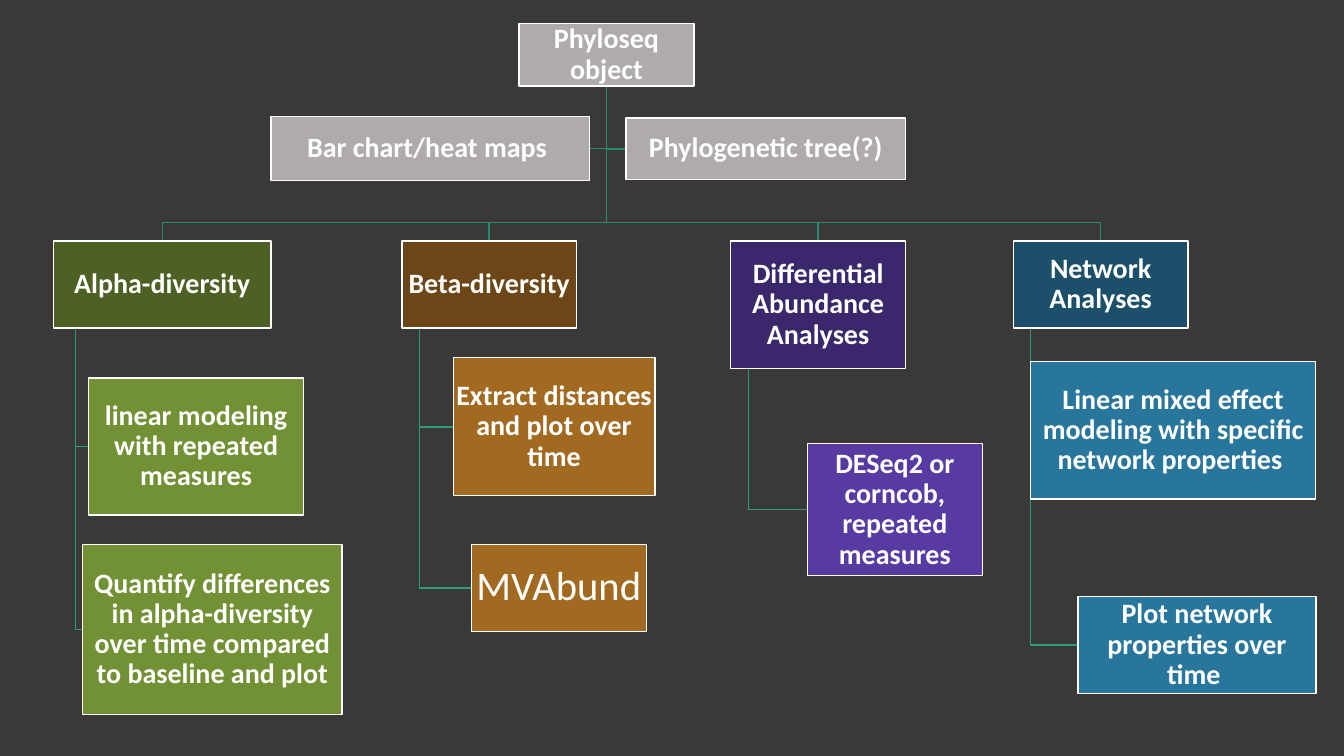
from dataclasses import dataclass, field

from pptx import Presentation
from pptx import util as u
from pptx.dml.color import RGBColor
from pptx.enum import shapes, text
from pptx.oxml.ns import qn
from lxml import etree

WHITE = "FFFFFF"
GREY = "AFABAB"
MAIN_LINE = "218C70"
SUB_LINE = "259F7F"
BUS_Y = 159.1


@dataclass
class Box:
    label: str
    left: float
    top: float
    width: float
    height: float
    fill: str
    size: float = 20
    bold: bool = True

    @property
    def right(self) -> float:
        return self.left + self.width

    @property
    def bottom(self) -> float:
        return self.top + self.height

    @property
    def center(self) -> float:
        return self.left + self.width / 2

    @property
    def middle(self) -> float:
        return self.top + self.height / 2

    @property
    def stem(self) -> float:
        """The x of the line that hangs below a branch head."""
        return self.left + self.width / 10


@dataclass
class Branch:
    head: Box
    leaves: list[Box] = field(default_factory=list)


ROOT = Box("Phyloseq object", 370.8, 16.8, 124.8, 44.8, GREY)
CHARTS = Box("Bar chart/heat maps ", 193.6, 83, 227.4, 46, GREY)
TREE = Box("Phylogenetic tree(?)", 447.1, 84.2, 199.6, 44.2, GREY)
BRANCHES = [
    Branch(Box("Alpha-diversity", 38.2, 172.1, 155.5, 62.2, "4C6123"), [
        Box("linear modeling with repeated measures",
            63.4, 270, 153.4, 98, "729134"),
        Box("Quantify differences in alpha-diversity over time compared "
            "to baseline and plot", 59, 388.8, 185.4, 121.6, "729134"),
    ]),
    Branch(Box("Beta-diversity", 287, 172.1, 124.8, 62.2, "6C4616"), [
        Box("Extract distances and plot over time",
            323.8, 255.6, 144, 98.6, "A26921"),
        Box("MVAbund", 336.8, 388.8, 124.8, 62.2, "A26921", 29, False),
    ]),
    Branch(Box("Differential Abundance Analyses",
               522, 172.1, 124.8, 91.4, "3A276C"), [
        Box("DESeq2 or corncob, repeated measures",
            576.8, 317, 124.8, 94, "573AA2"),
    ]),
    Branch(Box("Network Analyses", 723.8, 172.1, 124.8, 62.2, "1C4F69"), [
        Box("Linear mixed effect modeling with specific network properties ",
            736.28, 258.4, 203.4, 98, "29769D"),
        Box("Plot network properties over time ",
            770, 426.2, 170, 69.2, "29769D"),
    ]),
]


def paint(target, color: str) -> None:
    """Give a fill one solid colour."""
    target.solid()
    target.fore_color.rgb = RGBColor.from_string(color)


def draw_path(slide, points: list[tuple[float, float]], color: str) -> None:
    start, *rest = [(u.Pt(x), u.Pt(y)) for x, y in points]
    build = slide.shapes.build_freeform(*start, scale=1.0)
    build.add_line_segments(rest, close=False)
    path = build.convert_to_shape()
    path.shadow.inherit = False
    path.fill.background()
    paint(path.line.fill, color)
    path.line.width = u.Pt(1)


def draw_drop(slide, head: Box, leaf: Box):
    """Draw a straight line down to the left side of a leaf."""
    drop = slide.shapes.add_connector(
        shapes.MSO_CONNECTOR.STRAIGHT, u.Pt(head.stem), u.Pt(head.bottom),
        u.Pt(leaf.left), u.Pt(leaf.middle))
    etree.SubElement(drop._element.spPr, qn("a:effectLst"))
    paint(drop.line.fill, SUB_LINE)
    drop.line.width = u.Pt(1)
    return drop


def draw_box(slide, box: Box):
    shape = slide.shapes.add_shape(
        shapes.MSO_SHAPE.RECTANGLE, u.Pt(box.left), u.Pt(box.top),
        u.Pt(box.width), u.Pt(box.height))
    shape.shadow.inherit = False
    paint(shape.fill, box.fill)
    paint(shape.line.fill, WHITE)
    shape.line.width = u.Pt(1)
    frame = shape.text_frame
    frame.text = box.label
    frame.word_wrap = True
    frame.vertical_anchor = text.MSO_ANCHOR.MIDDLE
    frame.margin_left = frame.margin_right = u.Pt(1)
    frame.margin_top = frame.margin_bottom = u.Pt(1)
    para = frame.paragraphs[0]
    para.alignment = text.PP_ALIGN.CENTER
    para.line_spacing = 0.9
    font = para.runs[0].font
    font.name = "Calibri"
    font.size = u.Pt(box.size)
    font.bold = box.bold
    paint(font.fill, WHITE)
    return shape


def main() -> None:
    deck = Presentation()
    deck.slide_width, deck.slide_height = u.Pt(960), u.Pt(540)
    slide = deck.slides.add_slide(deck.slide_layouts[6])
    paint(slide.background.fill, "3B3838")

    origin = (ROOT.center, ROOT.bottom)
    for side, edge in ((TREE, TREE.left), (CHARTS, CHARTS.right)):
        draw_path(slide, [origin, (ROOT.center, side.middle),
                          (edge, side.middle)], MAIN_LINE)

    drops = []
    for branch in BRANCHES:
        head = branch.head
        draw_path(slide, [origin, (ROOT.center, BUS_Y), (head.center, BUS_Y),
                          (head.center, head.top)], MAIN_LINE)
        for leaf in branch.leaves:
            if abs(leaf.left - head.stem) < 0.5:
                drops.append((draw_drop(slide, head, leaf), leaf))
            else:
                draw_path(slide, [(head.stem, head.bottom),
                                  (head.stem, leaf.middle),
                                  (leaf.left, leaf.middle)], SUB_LINE)

    draw_box(slide, ROOT)
    for branch in BRANCHES:
        draw_box(slide, branch.head)
        for leaf in branch.leaves:
            shape = draw_box(slide, leaf)
            for drop, goal in drops:
                if goal is leaf:
                    drop.end_connect(shape, 1)
    for side in (CHARTS, TREE):
        draw_box(slide, side)

    deck.save("out.pptx")


if __name__ == "__main__":
    main()
